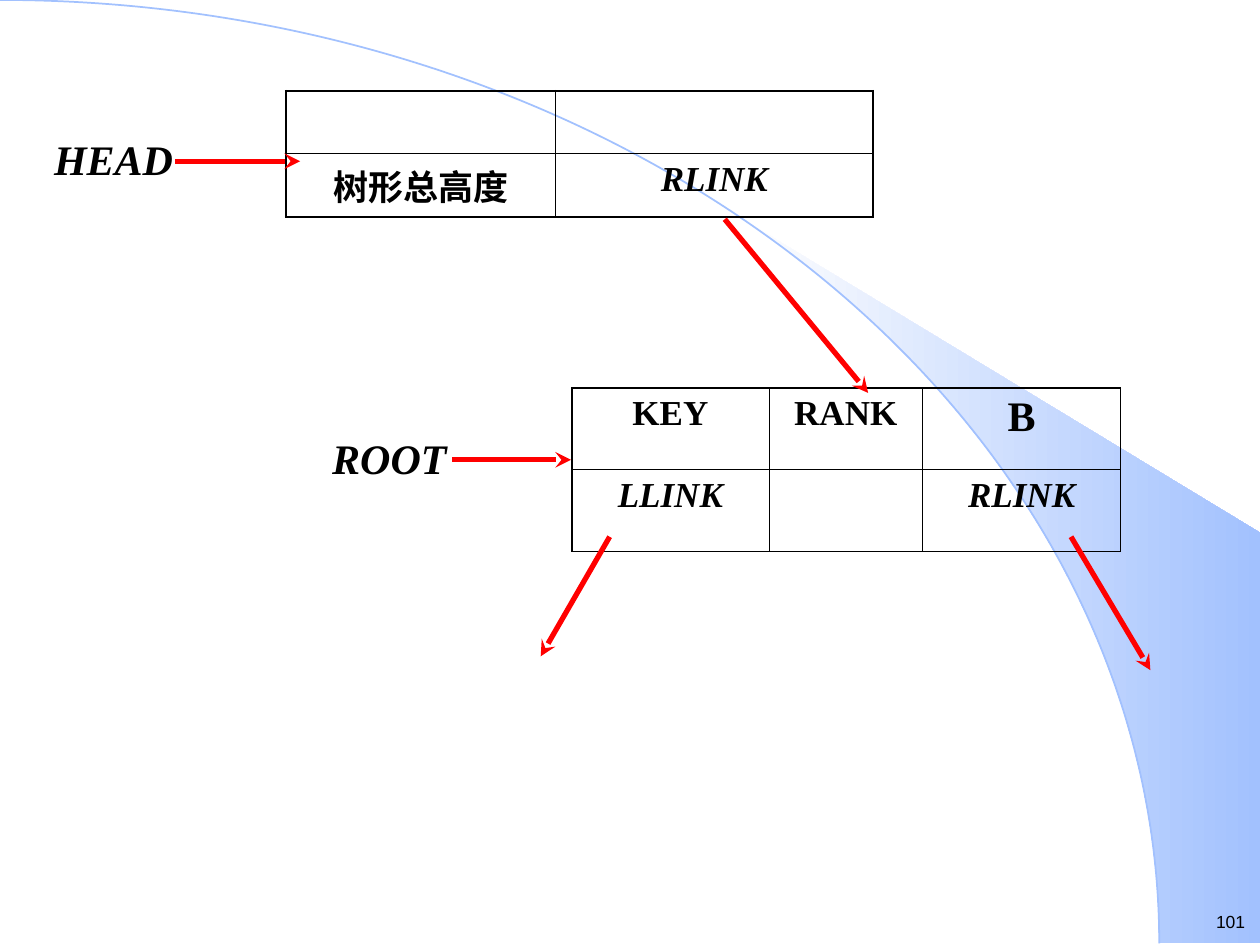
"""Build the slide showing the head node and root node of a balanced tree."""
import math

from lxml import etree
from pptx import Presentation
from pptx import util as u
from pptx.dml.color import RGBColor
from pptx.enum import shapes, text
from pptx.oxml import ns

BLACK = RGBColor(0x00, 0x00, 0x00)
RED = RGBColor(0xFF, 0x00, 0x00)
SKY = RGBColor(0xA2, 0xC1, 0xFE)
PALE = RGBColor(0xFE, 0xFE, 0xFE)
SERIF = "Times New Roman"
OUTER, INNER = 1.08, 0.45
RADIUS_X, RADIUS_Y = 23.37, 19.02


def write(frame, words, size=20, font=SERIF, bold=True, italic=False,
          align=text.PP_ALIGN.CENTER, margins=(0, 0)):
    frame.word_wrap = True
    frame.margin_left = frame.margin_right = u.Cm(margins[0])
    frame.margin_top = frame.margin_bottom = u.Cm(margins[1])
    para = frame.paragraphs[0]
    para.alignment = align
    span = para.add_run()
    span.text = words
    span.font.size = u.Pt(size)
    span.font.name = font
    span.font.bold = bold
    span.font.italic = italic
    span.font.color.rgb = BLACK


def add_border(cell, side, width):
    line = etree.SubElement(cell._tc.get_or_add_tcPr(), ns.qn("a:ln" + side),
                            w=str(u.Pt(width)))
    fill = etree.SubElement(line, ns.qn("a:solidFill"))
    etree.SubElement(fill, ns.qn("a:srgbClr"), val=str(BLACK))


deck = Presentation()
deck.slide_width, deck.slide_height = u.Cm(25.4), u.Cm(19.05)
page = deck.slides.add_slide(deck.slide_layouts[6])

curve = []
for degrees in range(40, 91, 2):
    angle = math.radians(degrees)
    curve.append((u.Cm(RADIUS_X * math.sin(angle)),
                  u.Cm(RADIUS_Y * (1 - math.cos(angle)))))
builder = page.shapes.build_freeform(*curve[0])
builder.add_line_segments(curve[1:] + [(u.Cm(25.4), u.Cm(19.02)),
                                       (u.Cm(25.4), u.Cm(10.74))])
beam = builder.convert_to_shape()
beam.shadow.inherit = False
beam.line.fill.background()
beam.fill.gradient()
beam.fill.gradient_angle = 0
for stop, colour in zip(beam.fill.gradient_stops, (PALE, SKY)):
    stop.color.rgb = colour

arc = page.shapes.add_shape(shapes.MSO_SHAPE.ARC, u.Cm(-RADIUS_X), 0,
                            u.Cm(2 * RADIUS_X), u.Cm(2 * RADIUS_Y))
arc.shadow.inherit = False
arc.fill.background()
arc.line.color.rgb = SKY
arc.line.width = u.Pt(1)

number = page.shapes.add_textbox(u.Cm(23.9), u.Cm(18.24), u.Cm(1.25), u.Cm(0.69))
write(number.text_frame, "101", size=10, font="Arial", bold=False,
      align=text.PP_ALIGN.RIGHT, margins=(0.05, 0.13))

for left, top, words in ((0.89, 2.69, "HEAD"), (6.45, 8.71, "ROOT")):
    box = page.shapes.add_textbox(u.Cm(left), u.Cm(top), u.Cm(2.8), u.Cm(1.02))
    write(box.text_frame, words, size=24, italic=True)

link = {"italic": True}
nodes = (
    (5.76, 1.83, (5.44, 6.4), 1.27,
     ((None, None),
      (("树形总高度", {}), ("RLINK", link)))),
    (11.53, 7.82, (3.97, 3.1, 3.99), 1.65,
     ((("KEY", {}), ("RANK", {}), ("B", {"size": 24})),
      (("LLINK", link), None, ("RLINK", link)))),
)
for left, top, widths, height, rows in nodes:
    table = page.shapes.add_table(
        len(rows), len(widths), u.Cm(left), u.Cm(top),
        u.Cm(sum(widths)), u.Cm(height * len(rows))).table
    table.first_row = table.horz_banding = False
    for column, width in zip(table.columns, widths):
        column.width = u.Cm(width)
    for r, row in enumerate(rows):
        table.rows[r].height = u.Cm(height)
        for c, content in enumerate(row):
            cell = table.cell(r, c)
            edges = {"L": c == 0, "R": c == len(widths) - 1,
                     "T": r == 0, "B": r == len(rows) - 1}
            for side, outside in edges.items():
                add_border(cell, side, OUTER if outside else INNER)
            cell.fill.background()
            if content:
                words, style = content
                write(cell.text_frame, words, **style)
                cell.margin_left = cell.margin_right = u.Cm(0.25)
                cell.margin_top = cell.margin_bottom = u.Cm(0.13)

arrows = (
    (3.53, 3.25, 6.05, 3.25),
    (14.61, 4.42, 17.5, 7.92),
    (21.59, 10.82, 23.19, 13.51),
    (12.29, 10.82, 10.9, 13.23),
    (9.12, 9.27, 11.51, 9.27),
)
for ends in arrows:
    arrow = page.shapes.add_connector(shapes.MSO_CONNECTOR.STRAIGHT,
                                      *(u.Cm(value) for value in ends))
    arrow.line.color.rgb = RED
    arrow.line.width = u.Pt(3)
    etree.SubElement(arrow.line._get_or_add_ln(), ns.qn("a:tailEnd"), type="stealth")
    etree.SubElement(arrow._element.spPr, ns.qn("a:effectLst"))

deck.save("out.pptx")
